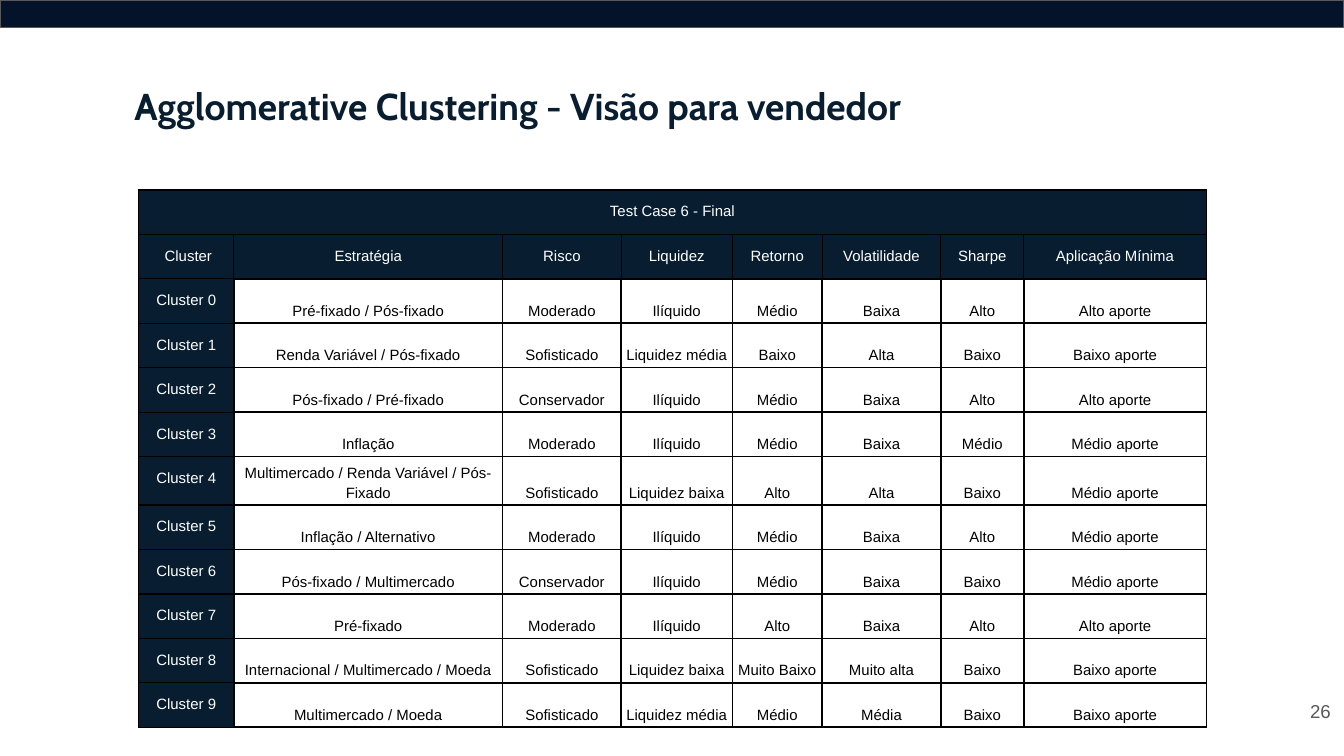
from lxml import etree
from pptx import Presentation
from pptx.dml.color import RGBColor
from pptx.enum.shapes import MSO_SHAPE
from pptx.enum.text import MSO_ANCHOR, PP_ALIGN
from pptx.oxml.ns import qn
from pptx.util import Cm, Pt

RECT = MSO_SHAPE.RECTANGLE
TOP, MIDDLE, BOTTOM = MSO_ANCHOR.TOP, MSO_ANCHOR.MIDDLE, MSO_ANCHOR.BOTTOM
LEFT, CENTER, RIGHT = PP_ALIGN.LEFT, PP_ALIGN.CENTER, PP_ALIGN.RIGHT

NAVY, BAR, GREY = "081E30", "05132A", "595959"
BLACK, WHITE = "000000", "FFFFFF"

TITLE = "Agglomerative Clustering - Visão para vendedor"
PAGE = "26"
CAPTION = "Test Case 6 - Final"
HEADS = [" Cluster", "Estratégia", "Risco", "Liquidez", "Retorno",
         "Volatilidade", "Sharpe", "Aplicação Mínima"]
GROUPS = [
    ("Pré-fixado / Pós-fixado", "Moderado", "Ilíquido", "Médio", "Baixa", "Alto", "Alto aporte"),
    ("Renda Variável / Pós-fixado", "Sofisticado", "Liquidez média", "Baixo", "Alta", "Baixo",
     "Baixo aporte"),
    ("Pós-fixado / Pré-fixado", "Conservador", "Ilíquido", "Médio", "Baixa", "Alto", "Alto aporte"),
    ("Inflação", "Moderado", "Ilíquido", "Médio", "Baixa", "Médio", "Médio aporte"),
    ("Multimercado / Renda Variável / Pós-Fixado", "Sofisticado", "Liquidez baixa", "Alto", "Alta",
     "Baixo", "Médio aporte"),
    ("Inflação / Alternativo", "Moderado", "Ilíquido", "Médio", "Baixa", "Alto", "Médio aporte"),
    ("Pós-fixado / Multimercado", "Conservador", "Ilíquido", "Médio", "Baixa", "Baixo",
     "Médio aporte"),
    ("Pré-fixado", "Moderado", "Ilíquido", "Alto", "Baixa", "Alto", "Alto aporte"),
    ("Internacional / Multimercado / Moeda", "Sofisticado", "Liquidez baixa", "Muito Baixo",
     "Muito alta", "Baixo", "Baixo aporte"),
    ("Multimercado / Moeda", "Sofisticado", "Liquidez média", "Médio", "Média", "Baixo",
     "Baixo aporte"),
]
WIDTHS = [1.8, 5.08, 2.24, 2.1, 1.7, 2.24, 1.57, 3.45]
ROW = 0.84

SIDES = ("left", "top", "right", "bottom")
HEAD = {"fill": NAVY, "color": WHITE, "pad": 0.25, "anchor": TOP, "para": {}}
BODY = {"fill": WHITE, "color": BLACK, "pad": 0.07, "anchor": BOTTOM,
        "para": {"line_spacing": 1.15, "space_before": Pt(12)}}


def rgb(code):
    return RGBColor.from_string(code)


def assign(item, values):
    for name, value in values.items():
        setattr(item, name, value)


def write(frame, text, size, color, align, font="Arial", bold=False, para=None):
    line = frame.paragraphs[0]
    assign(line, {"alignment": align, **(para or {})})
    run = line.add_run()
    run.text = text
    assign(run.font, {"name": font, "size": Pt(size), "bold": bold})
    run.font.color.rgb = rgb(color)


def label(slide, box, text, anchor=TOP, **look):
    frame = slide.shapes.add_textbox(*map(Cm, box)).text_frame
    assign(frame, {"word_wrap": True, "vertical_anchor": anchor})
    assign(frame, {f"margin_{side}": Cm(0.25) for side in SIDES})
    write(frame, text, **look)


def border(cell, widths):
    """Draw black edges; widths are points for left, right, top, bottom."""
    props = cell._tc.get_or_add_tcPr()
    for spot, (side, width) in enumerate(zip("LRTB", widths)):
        edge = etree.Element(qn(f"a:ln{side}"), w=str(Pt(width)))
        fill = etree.SubElement(edge, qn("a:solidFill"))
        etree.SubElement(fill, qn("a:srgbClr"), val=BLACK)
        props.insert(spot, edge)


def edges(row, col):
    if row == 0 or (row == 1 and col == 0):
        return (0.75,) * 4
    if row == 1:
        return (0.75, 0.75, 1, 1)
    if col == 0:
        return (0.75, 1, 0.75, 0.75)
    return (1,) * 4


def fill_cell(cell, text, look):
    cell.fill.solid()
    cell.fill.fore_color.rgb = rgb(look["fill"])
    assign(cell, {f"margin_{side}": Cm(look["pad"]) for side in SIDES})
    cell.vertical_anchor = look["anchor"]
    if text:
        write(cell.text_frame, text, 8, look["color"], CENTER, para=look["para"])


def add_grid(slide):
    rows = [[CAPTION] + [""] * (len(HEADS) - 1), HEADS]
    rows += [[f"Cluster {i}", *group] for i, group in enumerate(GROUPS)]
    box = (2.62, 3.59, sum(WIDTHS), ROW * len(rows))
    grid = slide.shapes.add_table(len(rows), len(HEADS), *map(Cm, box)).table
    assign(grid, {"first_row": False, "horz_banding": False})
    for col, width in zip(grid.columns, WIDTHS):
        col.width = Cm(width)
    for r, row in enumerate(rows):
        grid.rows[r].height = Cm(ROW)
        for c, text in enumerate(row):
            cell = grid.cell(r, c)
            fill_cell(cell, text, HEAD if r < 2 or c == 0 else BODY)
            border(cell, edges(r, c))
    grid.cell(0, 0).merge(grid.cell(0, len(HEADS) - 1))


def main():
    deck = Presentation()
    assign(deck, {"slide_width": Cm(25.4), "slide_height": Cm(14.29)})
    slide = deck.slides.add_slide(deck.slide_layouts[6])

    bar = slide.shapes.add_shape(RECT, 0, 0, Cm(25.4), Cm(0.52))
    bar.shadow.inherit = False
    bar.fill.solid()
    bar.fill.fore_color.rgb = rgb(BAR)
    bar.line.color.rgb = rgb(GREY)
    bar.line.width = Pt(0.75)

    label(slide, (23.88, 12.9, 1.52, 1.09), PAGE, MIDDLE, size=10, color=GREY, align=RIGHT)
    label(slide, (2.29, 1.32, 18.62, 1.37), TITLE, size=20, color=NAVY, align=LEFT,
          font="Cabin", bold=True)
    add_grid(slide)
    deck.save("out.pptx")


if __name__ == "__main__":
    main()
